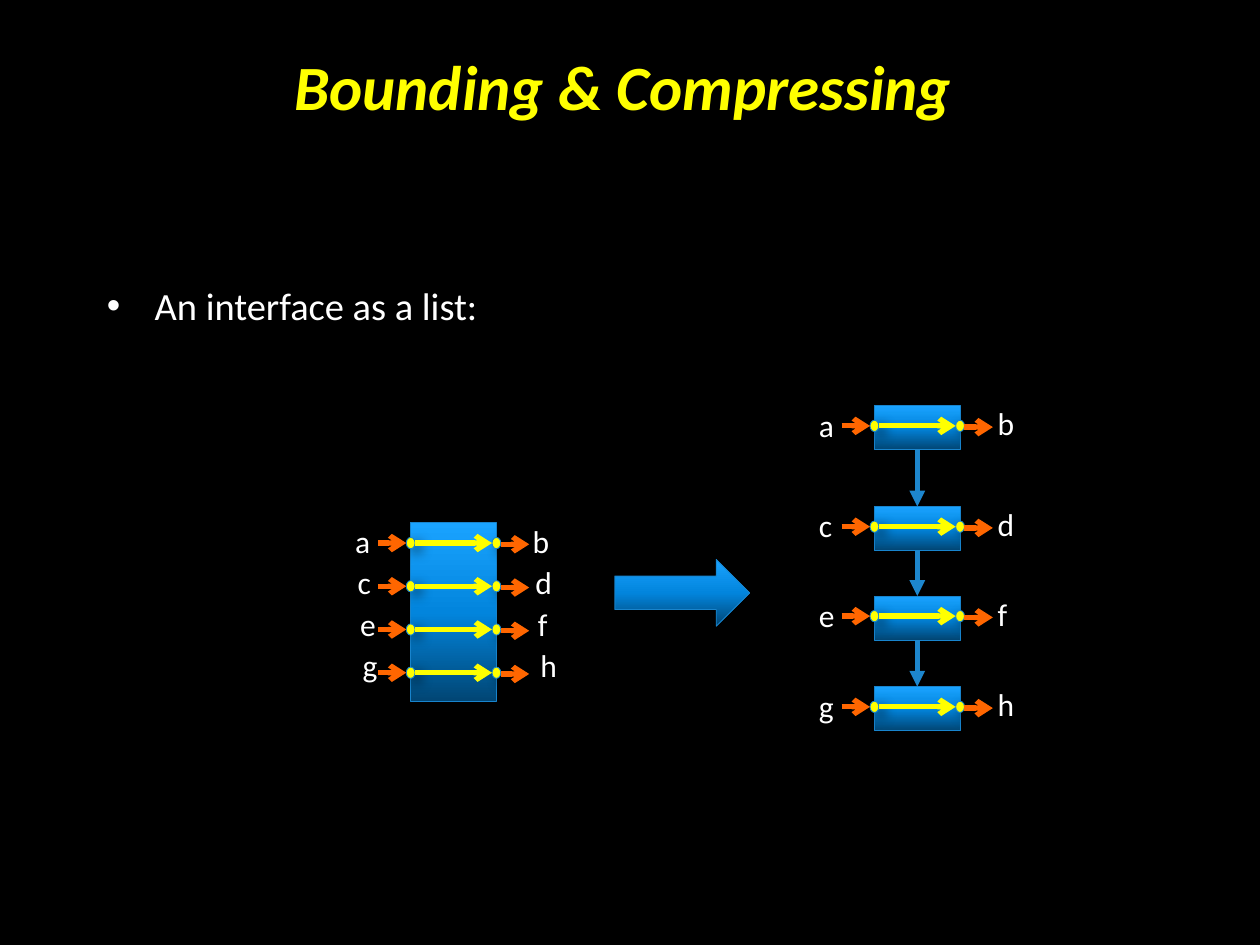
from copy import deepcopy

from lxml.etree import SubElement
from pptx import Presentation
from pptx.dml.color import RGBColor
from pptx.enum.dml import MSO_LINE
from pptx.enum.shapes import MSO_CONNECTOR, MSO_SHAPE
from pptx.enum.text import MSO_ANCHOR, MSO_AUTO_SIZE, PP_ALIGN
from pptx.oxml.ns import qn
from pptx.util import Inches, Pt

FONT, WHITE, YELLOW, ORANGE = "Calibri", "FFFFFF", "FFFF00", "FF6600"
OUTLINE, LINK = "1884CD", "1D86CD"
GRADIENT = [(0, "014573"), (0.5, "0285DD"), (1, "1AA3FF")]
BOX_WIDTH, BOX_HEIGHT = 0.68, 0.35
DOT_WIDTH, DOT_HEIGHT = 0.07, 0.09
LABEL_WIDTHS = {"a": 0.34, "c": 0.32, "e": 0.32, "f": 0.3, "d": 0.34, "h": 0.34}
PAIRS = ["ab", "cd", "ef", "gh"]


def color(value):
    return RGBColor.from_string(value)


def set_format(target, **values):
    for name, value in values.items():
        setattr(target, name, value)


def set_font(paragraph, size, value, **extra):
    set_format(paragraph.font, name=FONT, size=Pt(size), **extra)
    paragraph.font.color.rgb = color(value)


def add_shadow(shape):
    shape.shadow.inherit = False
    effects = shape._element.spPr.find(qn("a:effectLst"))
    shadow = SubElement(effects, qn("a:outerShdw"), blurRad=str(Pt(7)),
                        dist=str(Pt(4)), dir="2100000", rotWithShape="0")
    black = SubElement(shadow, qn("a:srgbClr"), val="000000")
    SubElement(black, qn("a:alpha"), val="55000")


def add_solid(shapes, kind, left, top, width, height, fill=None):
    """Add an outlined, shadowed shape; the blue gradient is the default fill."""
    shape = shapes.add_shape(kind, Inches(left), Inches(top),
                             Inches(width), Inches(height))
    if fill:
        shape.fill.solid()
        shape.fill.fore_color.rgb = color(fill)
    else:
        shape.fill.gradient()
        shape.fill.gradient_angle = 90
        stops = shape._element.spPr.find(".//" + qn("a:gsLst"))
        stops.insert(1, deepcopy(stops[0]))
        for stop, (position, value) in zip(shape.fill.gradient_stops, GRADIENT):
            stop.position = position
            stop.color.rgb = color(value)
    shape.line.color.rgb = color(OUTLINE)
    shape.line.width = Pt(0.5)
    add_shadow(shape)


def add_arrow(shapes, start, end, value, head="arrow", dash=None):
    connector = shapes.add_connector(MSO_CONNECTOR.STRAIGHT,
                                     *map(Inches, (*start, *end)))
    connector.line.color.rgb = color(value)
    connector.line.width = Pt(3)
    if dash:
        connector.line.dash_style = dash
    SubElement(connector.line._get_or_add_ln(), qn("a:tailEnd"), type=head)
    SubElement(connector._element.spPr, qn("a:effectLst"))


def add_label(shapes, text, left, top):
    box = shapes.add_textbox(Inches(left), Inches(top),
                             Inches(LABEL_WIDTHS.get(text, 0.33)), Inches(0.4))
    set_format(box.text_frame, text=text, word_wrap=False,
               auto_size=MSO_AUTO_SIZE.SHAPE_TO_FIT_TEXT)
    set_font(box.text_frame.paragraphs[0], 18, WHITE)


def add_wire(shapes, left, middle):
    """Draw input arrow, through arrow and output arrow across a box."""
    right = left + BOX_WIDTH
    half = DOT_WIDTH / 2
    for port in (left, right):
        add_solid(shapes, MSO_SHAPE.OVAL, port - half, middle - DOT_HEIGHT / 2,
                  DOT_WIDTH, DOT_HEIGHT, YELLOW)
    add_arrow(shapes, (left + half, middle), (right - half, middle), YELLOW)
    for start, end, y in [(left - 0.26, left - half, middle),
                          (right + half, right + 0.26, middle + 0.01)]:
        add_arrow(shapes, (start, y), (end, y), ORANGE, dash=MSO_LINE.SQUARE_DOT)


def add_title(slide, left, top, width, height):
    title = slide.shapes.title
    set_format(title, left=Inches(left), top=Inches(top),
               width=Inches(width), height=Inches(height))
    set_format(title.text_frame, text="Bounding & Compressing ", word_wrap=True,
               vertical_anchor=MSO_ANCHOR.MIDDLE, auto_size=MSO_AUTO_SIZE.NONE)
    paragraph = title.text_frame.paragraphs[0]
    paragraph.alignment = PP_ALIGN.CENTER
    set_font(paragraph, 36, YELLOW, bold=True, italic=True)


def add_bullet_text(slide, left, top, width, height):
    box = slide.shapes.add_textbox(Inches(left), Inches(top),
                                   Inches(width), Inches(height))
    set_format(box.text_frame, text="An interface as a list:", word_wrap=True,
               margin_top=Inches(0.67))
    paragraph = box.text_frame.paragraphs[0]
    properties = paragraph._p.get_or_add_pPr()
    set_format(paragraph, alignment=PP_ALIGN.LEFT)
    properties.set("marL", str(Inches(0.38)))
    properties.set("indent", str(-Inches(0.38)))
    SubElement(properties, qn("a:buFont"), typeface="Arial")
    SubElement(properties, qn("a:buChar"), char="•")
    set_font(paragraph, 22, WHITE)


def add_interface(slide, left, top, height):
    """One tall box that holds all the wires."""
    shapes = slide.shapes.add_group_shape().shapes
    add_solid(shapes, MSO_SHAPE.RECTANGLE, left, top, BOX_WIDTH, height)
    for row, (source, target) in enumerate(PAIRS):
        add_wire(shapes, left, top + 0.16 + 0.343 * row)
        label_top = top - 0.06 + 0.33 * row
        add_label(shapes, source, left - 0.54 + 0.02 * row, label_top)
        add_label(shapes, target, left + 0.87 + 0.02 * row, label_top)


def add_linked_list(slide, left, top, offsets):
    """One small box for each wire, chained from top to bottom."""
    shapes = slide.shapes.add_group_shape().shapes
    tops = [top + offset for offset in offsets]
    for box_top, (source, target) in zip(tops, PAIRS):
        add_solid(shapes, MSO_SHAPE.RECTANGLE, left, box_top, BOX_WIDTH, BOX_HEIGHT)
        add_wire(shapes, left, box_top + 0.16)
        add_label(shapes, source, left - 0.54, box_top - 0.05)
        add_label(shapes, target, left + 0.88, box_top - 0.06)
    center = left + BOX_WIDTH / 2
    for upper, lower in zip(tops, tops[1:]):
        add_arrow(shapes, (center, upper + BOX_HEIGHT), (center, lower), LINK, "triangle")


def main():
    presentation = Presentation()
    set_format(presentation, slide_width=Inches(10), slide_height=Inches(7.5))
    slide = presentation.slides.add_slide(presentation.slide_layouts[5])
    slide.background.fill.solid()
    slide.background.fill.fore_color.rgb = color("000000")
    add_title(slide, 0.75, -0.1, 8.5, 1.56)
    add_bullet_text(slide, 0.75, 1.57, 8.5, 5.78)
    add_interface(slide, 3.26, 4.15, 1.42)
    add_linked_list(slide, 6.94, 3.22, [0, 0.8, 1.51, 2.23])
    # Arrow from the interface to its list form
    add_solid(slide.shapes, MSO_SHAPE.RIGHT_ARROW, 4.88, 4.44, 1.07, 0.53)
    presentation.save("out.pptx")


if __name__ == "__main__":
    main()
